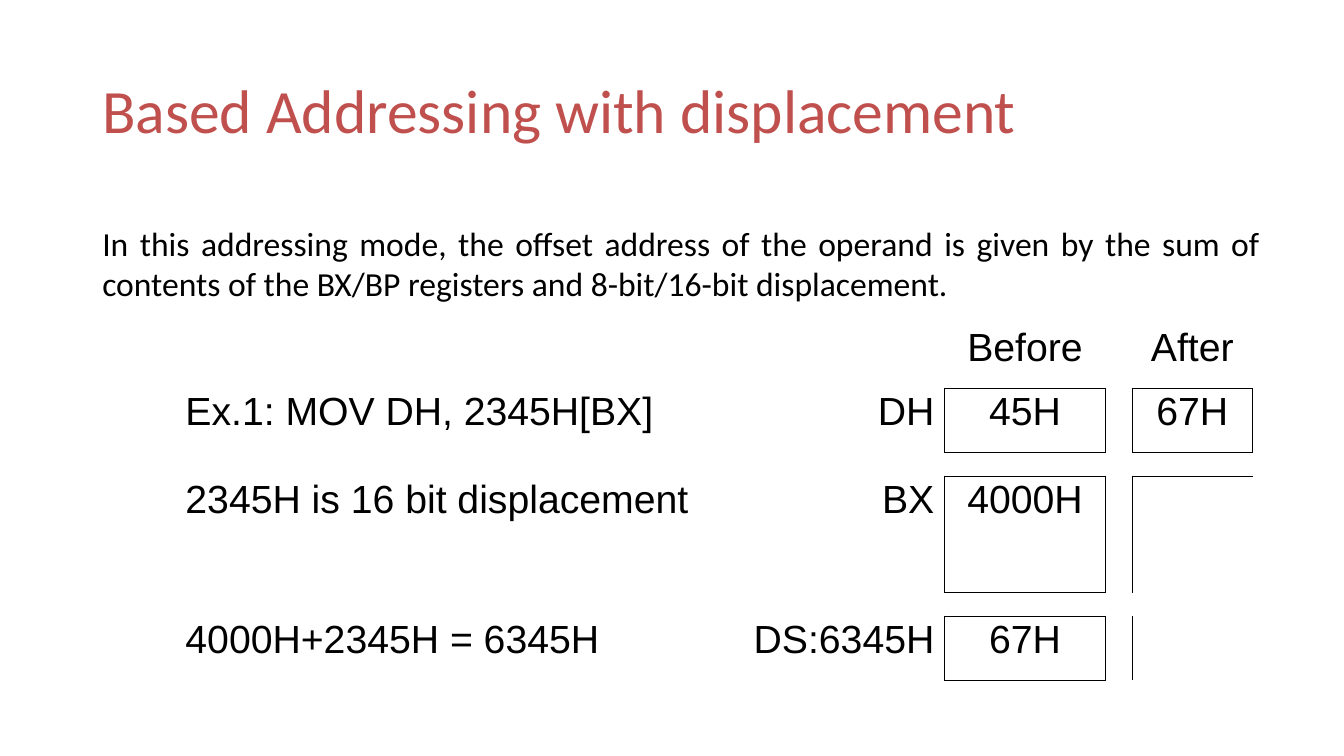
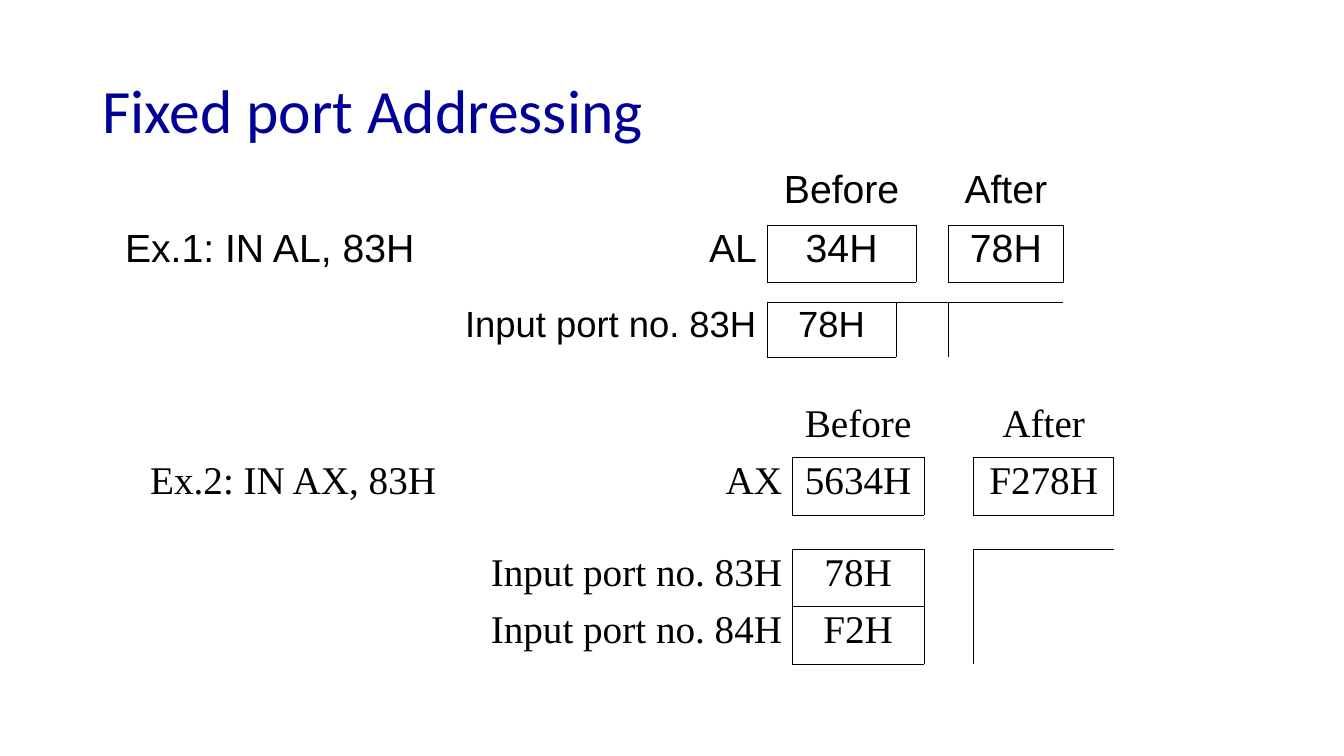
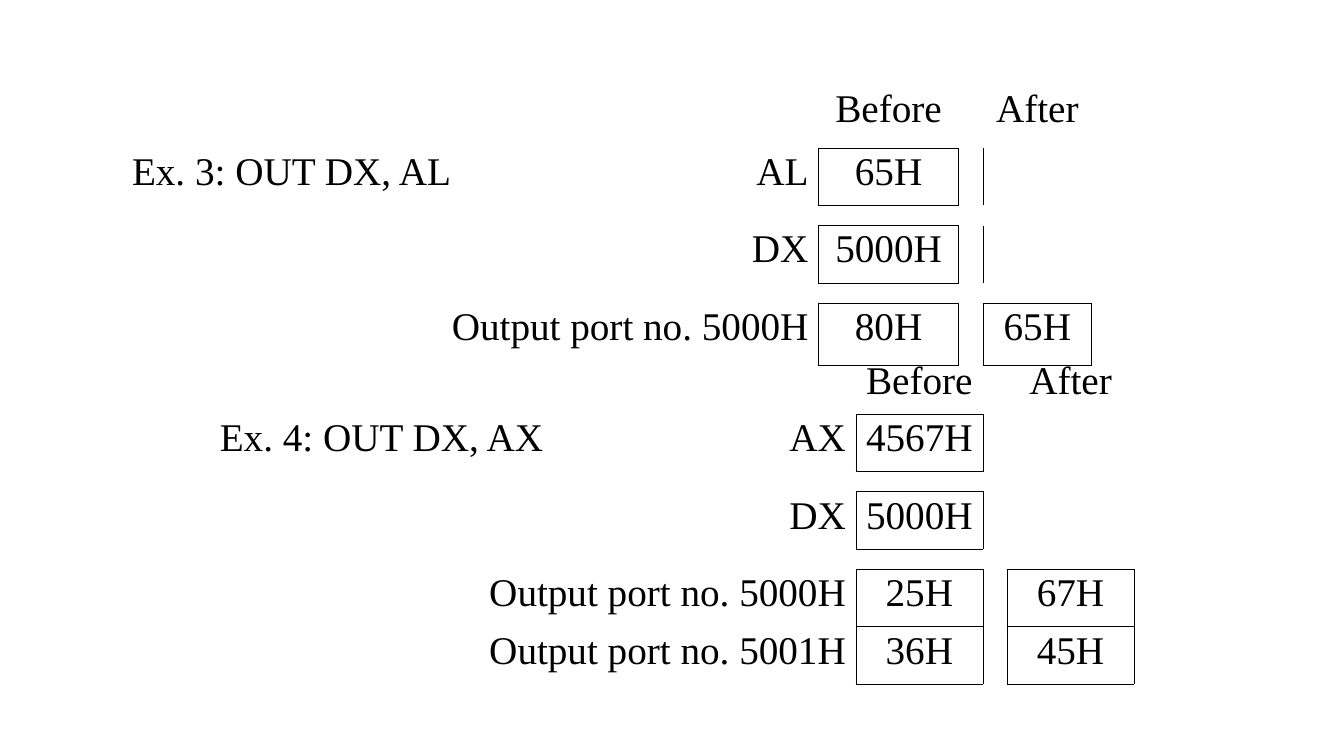
"""Build three slides on processor addressing modes with register tables."""
from dataclasses import dataclass, field

from lxml import etree
from pptx import Presentation
from pptx.dml.color import RGBColor
from pptx.enum import text
from pptx.oxml import ns
from pptx.util import Pt

BLACK = RGBColor(0x00, 0x00, 0x00)
BRICK = RGBColor(0xC0, 0x50, 0x4D)
NAVY = RGBColor(0x00, 0x00, 0x99)

SANS, SERIF, HEADING = "Arial", "Times New Roman", "Calibri"
TABLE_SIZE = 28
BORDER = Pt(0.45)
PLAIN_STYLE = "{2D5ABB26-0587-4C30-8999-92F81FD0307C}"

ALIGN = text.PP_ALIGN
SIDES = ("L", "R", "T", "B")
MIRROR = {"L": "R", "R": "L", "T": "B", "B": "T"}


@dataclass
class Trace:
    left: float
    top: float
    widths: list
    heights: list
    value_col: int
    font: str
    rows: list
    merges: list = field(default_factory=list)
    row_sizes: dict = field(default_factory=dict)
    extra_edges: list = field(default_factory=list)


BASED = Trace(
    125.3, 231.1, [393.1, 156.2, 115.2, 18.7, 86.4],
    [46.1, 46.1, 16.6, 83.5, 16.6, 46.1], 2, SANS,
    [["", "", "Before", "", "After"],
     ["Ex.1: MOV DH, 2345H[BX]", "DH", "45H", "", "67H"],
     [],
     ["2345H is 16 bit displacement", "BX", "4000H"],
     [],
     ["4000H+2345H = 6345H", "DS:6345H", "67H"]])

IN_BYTE = Trace(
    82.1, 118.8, [241.9, 223.9, 92.2, 14.4, 23, 82.1],
    [41.8, 41, 14.4, 38.9], 2, SANS,
    [["", "", "Before", "", "", "After"],
     ["Ex.1: IN AL, 83H", "AL", "34H", "", "", "78H"],
     [],
     ["", "Input port no. 83H", "78H"]],
    merges=[(0, 2, 3), (1, 2, 3), (2, 2, 3), (3, 3, 4)],
    row_sizes={3: 26}, extra_edges=[(3, 3, "T"), (2, 4, "B")])

IN_WORD = Trace(
    100.1, 285.8, [241.9, 223.9, 94.3, 35.3, 100.1],
    [41, 41, 24.5, 41, 41], 2, SERIF,
    [["", "", "Before", "", "After"],
     ["Ex.2: IN AX, 83H", "AX", "5634H", "", "F278H"],
     [],
     ["", "Input port no. 83H", "78H"],
     ["", "Input port no. 84H", "F2H"]])

OUT_BYTE = Trace(
    87.1, 61.2, [257.8, 239.8, 100.1, 17.3, 77.8],
    [44.6, 41, 14.4, 41, 14.4, 44.6], 2, SERIF,
    [["", "", "Before", "", "After"],
     ["Ex. 3: OUT DX, AL", "AL", "65H"],
     [],
     ["", "DX", "5000H"],
     [],
     ["Output port no. 5000H", "", "80H", "", "65H"]],
    merges=[(5, 0, 1)])

OUT_WORD = Trace(
    149.8, 254.9, [221.8, 28.8, 211, 90.7, 17.3, 90.7],
    [41, 41, 14.4, 41, 14.4, 41, 41], 3, SERIF,
    [["", "", "", "Before", "", "After"],
     ["Ex. 4: OUT DX, AX", "", "AX", "4567H"],
     [],
     ["", "DX", "", "5000H"],
     [],
     ["Output port no. 5000H", "", "", "25H", "", "67H"],
     ["Output port no. 5001H", "", "", "36H", "", "45H"]],
    merges=[(0, 1, 2), (1, 0, 1), (2, 1, 2), (3, 1, 2), (4, 1, 2),
            (5, 0, 2), (6, 0, 2)])


def apply(target, values):
    """Set each named attribute on the target."""
    for name, value in values.items():
        setattr(target, name, value)


def write(paragraph, wording, size, font, color, **layout):
    """Fill a paragraph with one formatted run."""
    apply(paragraph, layout)
    run = paragraph.add_run()
    run.text = wording
    apply(run.font, {"size": Pt(size), "name": font})
    run.font.color.rgb = color


def add_words(slide, place, wording, size, color, frame_format, **layout):
    """Add a wrapped text box in the heading font."""
    frame = slide.shapes.add_textbox(*map(Pt, place)).text_frame
    apply(frame, {"word_wrap": True, **frame_format})
    write(frame.paragraphs[0], wording, size, HEADING, color, **layout)


def add_title(slide, wording, color):
    """Add the slide title."""
    add_words(slide, (66, 28.8, 828, 104.4), wording, 44, color,
              {"vertical_anchor": text.MSO_ANCHOR.MIDDLE}, line_spacing=0.9)


def shrink(cell):
    """Keep an empty cell from stretching its row."""
    etree.SubElement(cell.text_frame.paragraphs[0]._p,
                     ns.qn("a:endParaRPr"), sz="400")


def box_edges(table, row, col):
    """Return the four edges of a cell and the facing edges next to it."""
    left = col - 1
    while left > 0 and table.cell(row, left).is_spanned:
        left -= 1
    width = max(table.cell(row, col).span_width, 1)
    beside = {"L": (row, left), "R": (row, col + width),
              "T": (row - 1, col), "B": (row + 1, col)}
    edges = {(row, col, side) for side in SIDES}
    for side, (r, c) in beside.items():
        if r < len(table.rows) and c < len(table.columns):
            edges.add((r, c, MIRROR[side]))
    return edges


def draw_edges(table, edges):
    """Draw the border lines in the order the file format asks for."""
    for row, col, side in sorted(edges, key=lambda e: -SIDES.index(e[2])):
        properties = table.cell(row, col)._tc.get_or_add_tcPr()
        line = etree.Element(ns.qn(f"a:ln{side}"), w=str(BORDER))
        fill = etree.SubElement(line, ns.qn("a:solidFill"))
        etree.SubElement(fill, ns.qn("a:srgbClr"), val=str(BLACK))
        properties.insert(0, line)


def add_trace(slide, trace):
    """Add a table of register and port values before and after."""
    table = slide.shapes.add_table(
        len(trace.heights), len(trace.widths), Pt(trace.left), Pt(trace.top),
        Pt(sum(trace.widths)), Pt(sum(trace.heights))).table
    apply(table, {"first_row": False, "horz_banding": False})
    table._tbl.tblPr.find(ns.qn("a:tableStyleId")).text = PLAIN_STYLE
    for column, width in zip(table.columns, trace.widths):
        column.width = Pt(width)
    for row, height in zip(table.rows, trace.heights):
        row.height = Pt(height)
    for row, first, last in trace.merges:
        table.cell(row, first).merge(table.cell(row, last))

    edges = set(trace.extra_edges)
    for r in range(len(trace.heights)):
        wordings = dict(enumerate(trace.rows[r]))
        for c in range(len(trace.widths)):
            cell = table.cell(r, c)
            cell.fill.background()
            wording = wordings.get(c)
            if not wording:
                shrink(cell)
                continue
            is_value = c >= trace.value_col
            names_value = c + max(cell.span_width, 1) == trace.value_col
            align = (ALIGN.CENTER if is_value
                     else ALIGN.RIGHT if names_value else ALIGN.LEFT)
            write(cell.text_frame.paragraphs[0], wording,
                  trace.row_sizes.get(r, TABLE_SIZE), trace.font, BLACK,
                  alignment=align, line_spacing=0.93)
            if is_value and r > 0:
                edges |= box_edges(table, r, c)
    draw_edges(table, edges)


def main():
    """Build and save the presentation."""
    deck = Presentation()
    apply(deck, {"slide_width": Pt(960), "slide_height": Pt(540)})
    based, fixed_port, variable_port = (
        deck.slides.add_slide(deck.slide_layouts[6]) for _ in range(3))

    add_title(based, "Based Addressing with displacement", BRICK)
    add_words(based, (66, 155.5, 841, 65.5),
              "In this addressing mode, the offset address of the operand is "
              "given by the sum of contents of the BX/BP registers and "
              "8-bit/16-bit displacement.", 24, BLACK,
              {"auto_size": text.MSO_AUTO_SIZE.SHAPE_TO_FIT_TEXT},
              alignment=ALIGN.JUSTIFY)
    add_trace(based, BASED)

    add_title(fixed_port, "Fixed port Addressing", NAVY)
    for trace in (IN_BYTE, IN_WORD):
        add_trace(fixed_port, trace)

    for trace in (OUT_BYTE, OUT_WORD):
        add_trace(variable_port, trace)

    deck.save("out.pptx")


if __name__ == "__main__":
    main()
